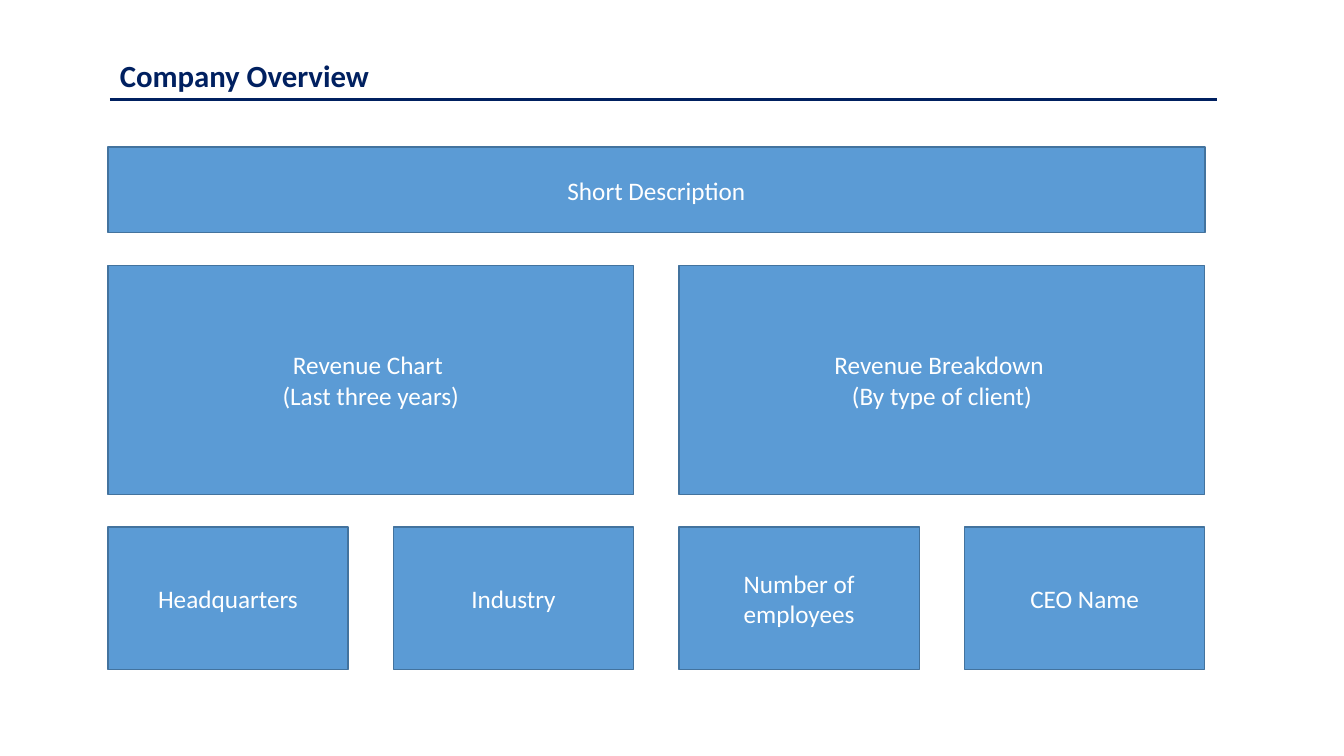
from dataclasses import dataclass

from lxml import etree
from pptx import Presentation
from pptx.dml.color import RGBColor
from pptx.enum.shapes import MSO_CONNECTOR, MSO_SHAPE
from pptx.enum.text import MSO_ANCHOR, MSO_AUTO_SIZE, PP_ALIGN
from pptx.oxml.ns import qn
from pptx.util import Inches, Pt

RECT, STRAIGHT = MSO_SHAPE.RECTANGLE, MSO_CONNECTOR.STRAIGHT
TOP, MIDDLE = MSO_ANCHOR.TOP, MSO_ANCHOR.MIDDLE
LEFT, CENTER = PP_ALIGN.LEFT, PP_ALIGN.CENTER
GROW = MSO_AUTO_SIZE.SHAPE_TO_FIT_TEXT


@dataclass(frozen=True)
class Theme:
    font: str = "Calibri"
    navy: str = "002060"
    tile: str = "5B9BD5"
    border: str = "43739E"
    white: str = "FFFFFF"
    title_size: float = 22
    body_size: float = 18
    rule_width: float = 2.25
    border_width: float = 1


THEME = Theme()

# Each row: height in inches and its tiles, which share four grid columns
COLUMNS = 4
ROWS = [
    (0.85, ["Short Description"]),
    (2.27, ["Revenue Chart \n(Last three years)",
            "Revenue Breakdown \n(By type of client)"]),
    (1.41, ["Headquarters", "Industry", "Number of employees", "CEO Name"]),
]


def rgb(value):
    return RGBColor.from_string(value)


def write(tf, text, size=THEME.body_size, color=THEME.white, bold=False,
          align=CENTER, anchor=MIDDLE):
    tf.word_wrap = True
    tf.vertical_anchor = anchor
    for i, line in enumerate(text.split("\n")):
        p = tf.paragraphs[0] if i == 0 else tf.add_paragraph()
        p.alignment = align
        r = p.add_run()
        r.text = line
        r.font.name = THEME.font
        r.font.size = Pt(size)
        r.font.bold = bold
        r.font.color.rgb = rgb(color)


def add_header(s, text, x, y, w, h):
    # Rule under the title
    line = s.shapes.add_connector(STRAIGHT, Inches(x), Inches(y + h),
                                  Inches(x + w), Inches(y + h))
    line.line.color.rgb = rgb(THEME.navy)
    line.line.width = Pt(THEME.rule_width)
    etree.SubElement(line._element.spPr, qn("a:effectLst"))
    # Title
    box = s.shapes.add_textbox(Inches(x), Inches(y), Inches(w / 3), Inches(h))
    write(box.text_frame, text, size=THEME.title_size, color=THEME.navy,
          bold=True, align=LEFT, anchor=TOP)
    box.text_frame.auto_size = GROW


def add_tile(s, text, x, y, w, h):
    sp = s.shapes.add_shape(RECT, Inches(x), Inches(y), Inches(w), Inches(h))
    sp.shadow.inherit = False
    sp.fill.solid()
    sp.fill.fore_color.rgb = rgb(THEME.tile)
    sp.line.color.rgb = rgb(THEME.border)
    sp.line.width = Pt(THEME.border_width)
    write(sp.text_frame, text)


def add_tiles(s, rows, x, y, w, h, col_gap=0.45):
    pitch = (w + col_gap) / COLUMNS
    row_gap = (h - sum(height for height, _ in rows)) / (len(rows) - 1)
    for height, labels in rows:
        span = pitch * COLUMNS / len(labels)
        for i, label in enumerate(labels):
            add_tile(s, label, x + i * span, y, span - col_gap, height)
        y += height + row_gap


def main():
    prs = Presentation()
    prs.slide_width, prs.slide_height = Inches(13.33), Inches(7.5)
    s = prs.slides.add_slide(prs.slide_layouts[6])
    add_header(s, "Company Overview", 1.09, 0.51, 10.98, 0.48)
    add_tiles(s, ROWS, 1.07, 1.46, 10.88, 5.18)
    prs.save("out.pptx")


if __name__ == "__main__":
    main()
